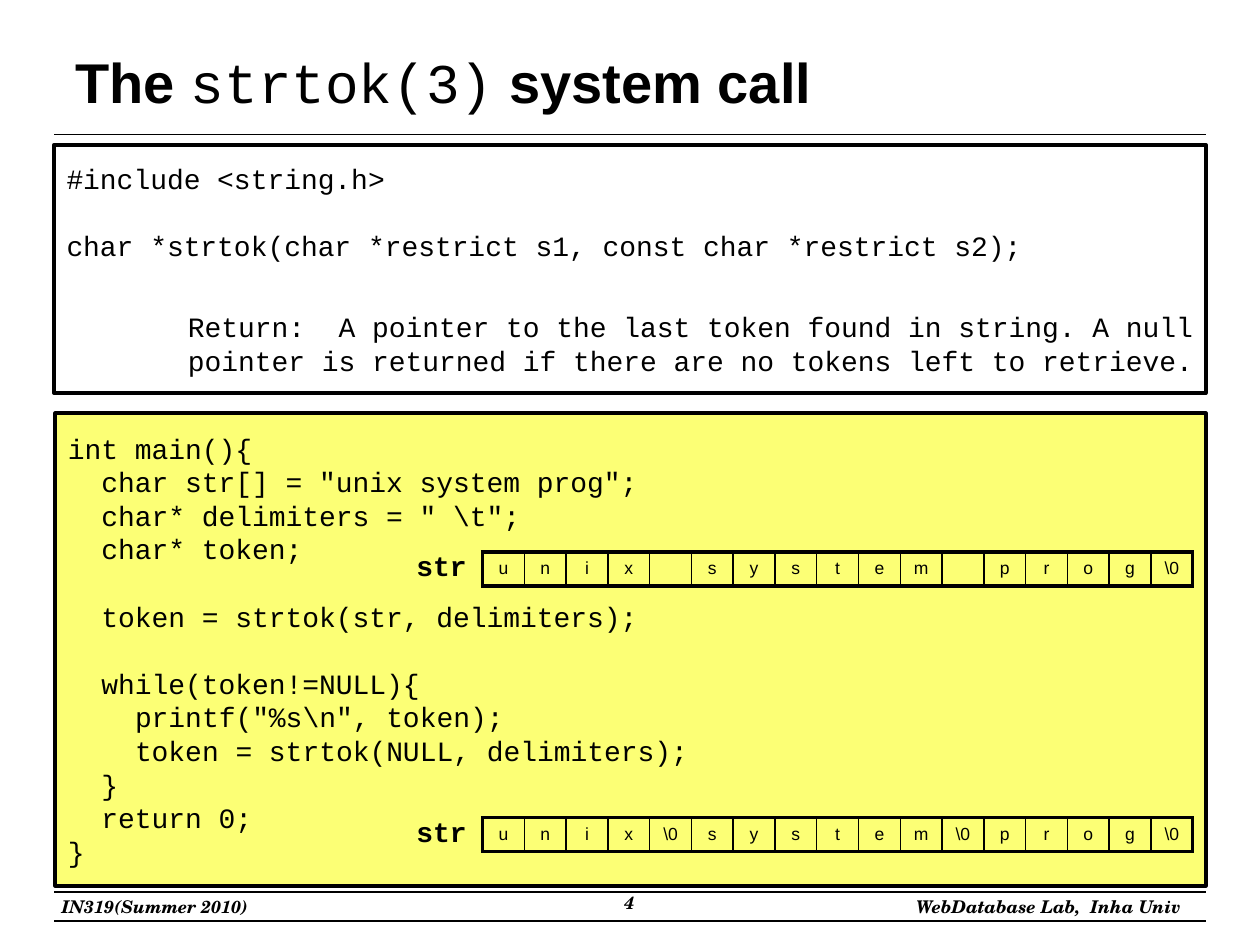
"""Build the strtok(3) lecture slide."""
import dataclasses

import lxml.etree
import pptx
import pptx.dml.color
import pptx.enum.shapes
import pptx.enum.text
import pptx.oxml.ns
import pptx.util

ALIGN = pptx.enum.text.PP_ALIGN
ANCHOR = pptx.enum.text.MSO_ANCHOR
COLUMNS, ROWS = 100, 75


@dataclasses.dataclass(frozen=True)
class Theme:
    """Colours, fonts and point sizes."""
    ink: str = "000000"
    paper: str = "FFFFFF"
    highlight: str = "FCFF75"
    sans: str = "Arial"
    mono: str = "Courier New"
    serif: str = "TeX Gyre Schola"
    title: float = 32
    code: float = 16
    small: float = 10
    code_line: float = 19.2
    code_indent: float = 19.2
    paragraph_gap: float = 8
    thick: float = 2.25
    medium: float = 1
    thin: float = 0.75


@dataclasses.dataclass(frozen=True)
class Box:
    """A rectangle in grid columns and rows."""
    left: float
    top: float
    width: float
    height: float

    def inside(self, left, top, width, height):
        """Return a box offset from this one's corner."""
        return Box(self.left + left, self.top + top, width, height)

    def lengths(self):
        """Return left, top, width and height as slide lengths."""
        column, row = pptx.util.Inches(10) / COLUMNS, pptx.util.Inches(7.5) / ROWS
        return [round(length) for length in
                (self.left * column, self.top * row, self.width * column, self.height * row)]


THEME = Theme()


def color(name):
    """Return an RGB colour from its hex name."""
    return pptx.dml.color.RGBColor.from_string(name)


def write(paragraph, text, font=THEME.mono, size=THEME.code, bold=False, italic=False,
          align=ALIGN.LEFT, before=0, indent=0, line=None):
    """Add formatted text to a paragraph."""
    paragraph.alignment = align
    paragraph.space_before = pptx.util.Pt(before)
    if line:
        paragraph.line_spacing = pptx.util.Pt(line)
    if indent:
        properties = paragraph._p.get_or_add_pPr()
        properties.set("marL", str(pptx.util.Pt(indent)))
        properties.set("indent", "0")
    run = paragraph.add_run()
    run.text = text
    run.font.name, run.font.size = font, pptx.util.Pt(size)
    run.font.bold, run.font.italic = bold, italic
    run.font.color.rgb = color(THEME.ink)


def add_label(slide, box, text, anchor=ANCHOR.TOP, wrap=True, **text_format):
    """Add a one-line text box."""
    frame = slide.shapes.add_textbox(*box.lengths()).text_frame
    frame.word_wrap, frame.vertical_anchor = wrap, anchor
    write(frame.paragraphs[0], text, **text_format)


def add_rule(slide, box):
    """Draw a thin rule along the top of a box."""
    left, top, width, _ = box.lengths()
    rule = slide.shapes.add_connector(
        pptx.enum.shapes.MSO_CONNECTOR.STRAIGHT, left, top, left + width, top)
    rule.line.color.rgb = color(THEME.ink)
    rule.line.width = pptx.util.Pt(THEME.thin)
    lxml.etree.SubElement(rule._element.spPr, pptx.oxml.ns.qn("a:effectLst"))


def add_panel(slide, box, fill, paragraphs):
    """Add a framed panel of code paragraphs, each a text and its format."""
    panel = slide.shapes.add_shape(pptx.enum.shapes.MSO_SHAPE.RECTANGLE, *box.lengths())
    panel.shadow.inherit = False
    panel.fill.solid()
    panel.fill.fore_color.rgb = color(fill)
    panel.line.color.rgb = color(THEME.ink)
    panel.line.width = pptx.util.Pt(THEME.thick)
    frame = panel.text_frame
    frame.word_wrap, frame.vertical_anchor = True, ANCHOR.MIDDLE
    for index, (text, text_format) in enumerate(paragraphs):
        paragraph = frame.add_paragraph() if index else frame.paragraphs[0]
        write(paragraph, text, line=THEME.code_line, **text_format)


def add_border(cell, side, width):
    """Draw one side of a table cell."""
    line = lxml.etree.SubElement(
        cell._tc.get_or_add_tcPr(), pptx.oxml.ns.qn(f"a:ln{side}"), w=str(pptx.util.Pt(width)))
    fill = lxml.etree.SubElement(line, pptx.oxml.ns.qn("a:solidFill"))
    lxml.etree.SubElement(fill, pptx.oxml.ns.qn("a:srgbClr"), val=THEME.ink)


def add_memory(slide, box, characters):
    """Add the str label and its row of character cells."""
    add_label(slide, box.inside(0, 0, 6.1, 3.7), "str", anchor=ANCHOR.MIDDLE,
              wrap=False, bold=True, align=ALIGN.CENTER)
    cells_box = box.inside(6.3, 0.75, box.width - 6.3, 2.7)
    table = slide.shapes.add_table(1, len(characters), *cells_box.lengths()).table
    table.first_row = table.horz_banding = False
    last = len(characters) - 1
    for index, character in enumerate(characters):
        cell = table.cell(0, index)
        cell.margin_left = cell.margin_right = cell.margin_top = cell.margin_bottom = 0
        cell.vertical_anchor = ANCHOR.MIDDLE
        write(cell.text_frame.paragraphs[0], character, font=THEME.sans,
              size=THEME.small, align=ALIGN.CENTER)
        add_border(cell, "L", THEME.medium if index else THEME.thick)
        add_border(cell, "R", THEME.thick if index == last else THEME.medium)
        add_border(cell, "T", THEME.thick)
        add_border(cell, "B", THEME.thick)
        cell.fill.background()


def add_header(slide, box):
    """Place the title and the rule below it."""
    title = slide.shapes.title
    title.left, title.top, title.width, title.height = box.inside(0.7, 0, 90, 6.9).lengths()
    frame = title.text_frame
    frame.word_wrap, frame.vertical_anchor = True, ANCHOR.MIDDLE
    frame.auto_size = pptx.enum.text.MSO_AUTO_SIZE.NONE
    for text, font, bold in (("The ", THEME.sans, True), ("strtok(3)", THEME.mono, False),
                             (" system call", THEME.sans, True)):
        write(frame.paragraphs[0], text, font=font, size=THEME.title, bold=bold)
    add_rule(slide, box.inside(0, box.height, box.width, 0))


def add_prototype(slide, box):
    """Place the panel with the function prototype."""
    add_panel(slide, box, THEME.paper, [
        ("#include <string.h>", {}),
        ("char *strtok(char *restrict s1, const char *restrict s2);",
         {"before": THEME.code_line}),
        ("Return:  A pointer to the last token found in string. A null pointer is "
         "returned if there are no tokens left to retrieve.",
         {"before": THEME.code_line + THEME.paragraph_gap, "align": ALIGN.RIGHT})])


def add_example(slide, box):
    """Place the example program and the memory before and after it."""
    program = [
        (0, 0, "int main(){"), (1, 0, 'char str[] = "unix system prog";'),
        (1, 0, 'char* delimiters = " \\t";'), (1, 0, "char* token;"),
        (1, 1, "token = strtok(str, delimiters);"), (1, 1, "while(token!=NULL){"),
        (2, 0, 'printf("%s\\n", token);'), (2, 0, "token = strtok(NULL, delimiters);"),
        (1, 0, "}"), (1, 0, "return 0;"), (0, 0, "}")]
    add_panel(slide, box, THEME.highlight, [
        (text, {"indent": level * THEME.code_indent, "before": gap * THEME.code_line})
        for level, gap, text in program])
    for top, separator in ((10.25, " "), (31.35, "\\0")):
        characters = [separator if letter == " " else letter for letter in "unix system prog"]
        add_memory(slide, box.inside(27.6, top, 62.7, 3.7), characters + ["\\0"])


def add_footer(slide, box):
    """Place the footer rules, course, page number and lab."""
    for top in (0, box.height):
        add_rule(slide, box.inside(0, top, box.width, 0))
    for left, top, width, text, align in (
            (-0.4, -0.2, 17.6, "IN319(Summer 2010)", ALIGN.LEFT),
            (34, -0.5, 23.3, "4", ALIGN.CENTER),
            (66.5, -0.2, 23.9, "WebDatabase Lab,  Inha Univ", ALIGN.RIGHT)):
        add_label(slide, box.inside(left, top, width, 2.7), text, font=THEME.serif,
                  size=THEME.small, bold=True, italic=True, align=align)


presentation = pptx.Presentation()
presentation.slide_width = pptx.util.Inches(10)
presentation.slide_height = pptx.util.Inches(7.5)
strtok_slide = presentation.slides.add_slide(presentation.slide_layouts[5])
add_header(strtok_slide, Box(4.3, 3, 91.4, 7.7))
add_prototype(strtok_slide, Box(4.3, 11.5, 91.4, 19.7))
add_example(strtok_slide, Box(4.4, 32.8, 91.3, 37.5))
add_footer(strtok_slide, Box(4.3, 70.8, 91.4, 2.3))
presentation.save("out.pptx")
